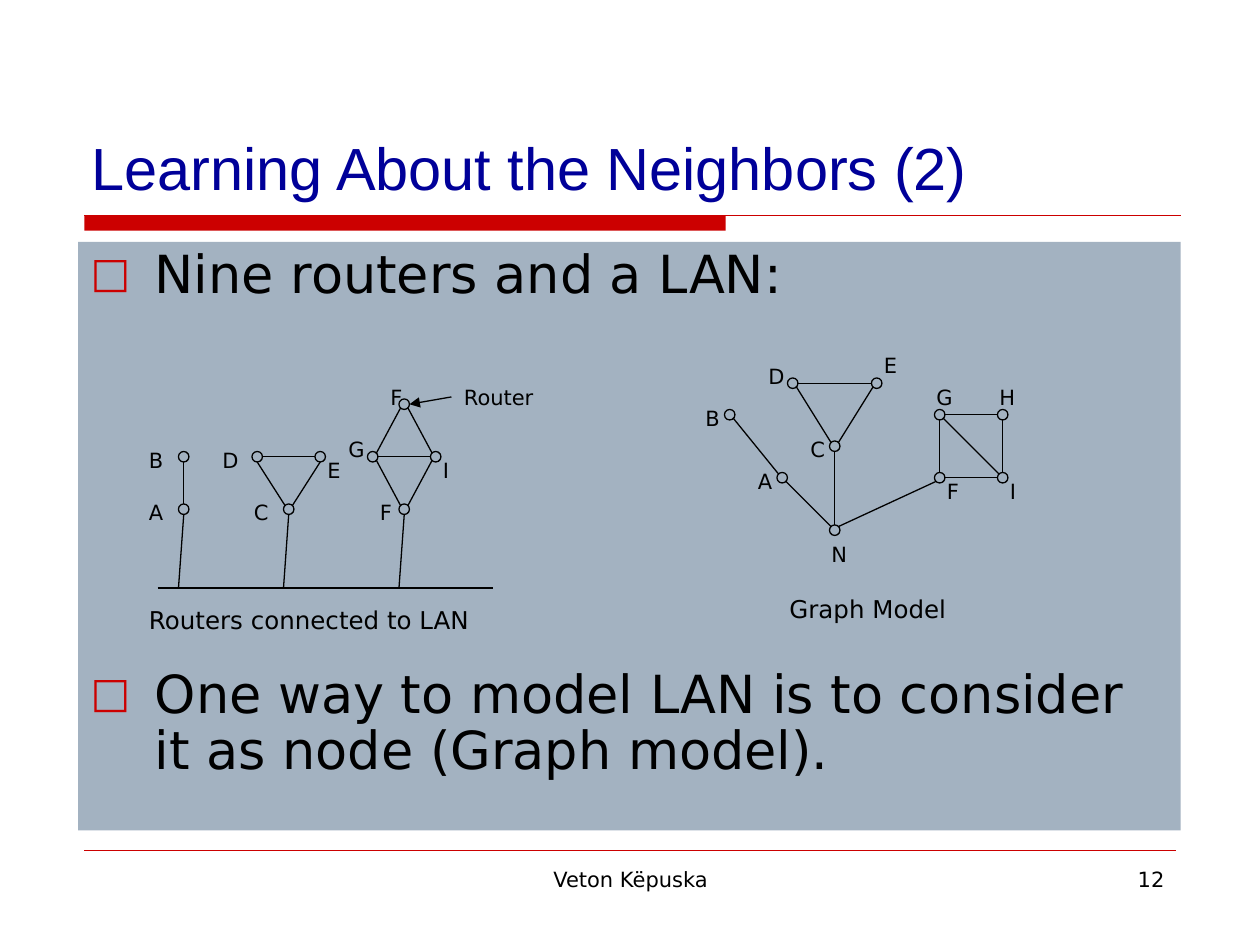
from lxml import etree
from pptx import Presentation
from pptx import util as u
from pptx.dml.color import RGBColor
from pptx.enum import shapes, text
from pptx.oxml.ns import qn

BLACK = RGBColor(0x00, 0x00, 0x00)
RED = RGBColor(0xCC, 0x00, 0x00)
NAVY = RGBColor(0x00, 0x00, 0x99)
PANEL = RGBColor(0xA3, 0xB2, 0xC1)
UNIT = 1 / 12  # the diagrams sit on a grid of twelfths of an inch

# Top-left grid position of each router, then of its label
LAN_ROUTERS = {
    "A": ((17, 48), (13, 47)), "B": ((17, 43), (13, 42)),
    "D": ((24, 43), (20, 42)), "C": ((27, 48), (23, 47)),
    "E": ((30, 43), (30, 43)), "G": ((35, 43), (32, 41)),
    "F": ((38, 48), (35, 47)), "I": ((41, 43), (41, 43)),
    "F top": ((38, 38), (36, 36)),
}
GRAPH_NODES = {
    "A": ((74, 45), (71, 44)), "B": ((69, 39), (66, 38)),
    "N": ((79, 50), (78, 51)), "C": ((79, 42), (76, 41)),
    "D": ((75, 36), (72, 34)), "E": ((83, 36), (83, 33)),
    "F": ((89, 45), (89, 45)), "G": ((89, 39), (88, 36)),
    "I": ((95, 45), (95, 45)), "H": ((95, 39), (94, 36)),
}
# Each link joins a compass point of one node to one of another
LAN_LINKS = [
    ("B", "s", "A", "n"), ("D", "s", "C", "nw"), ("E", "s", "C", "ne"),
    ("D", "e", "E", "w"), ("G", "se", "F", "nw"), ("I", "sw", "F", "ne"),
    ("F top", "se", "I", "nw"), ("F top", "sw", "G", "ne"), ("G", "e", "I", "w"),
]
GRAPH_LINKS = [
    ("N", "nw", "A", "se"), ("A", "nw", "B", "se"), ("N", "n", "C", "s"),
    ("C", "nw", "D", "se"), ("C", "ne", "E", "sw"), ("N", "ne", "F", "sw"),
    ("F", "n", "G", "s"), ("G", "e", "H", "w"), ("D", "e", "E", "w"),
    ("F", "e", "I", "w"), ("I", "n", "H", "s"), ("G", "se", "I", "nw"),
]


def rim(corner, side):
    """Point in inches on the rim of a one-unit circle."""
    dx = ("e" in side) - ("w" in side)
    dy = ("s" in side) - ("n" in side)
    radius = 0.35 if dx and dy else 0.5
    return tuple((c + 0.5 + radius * d) * UNIT for c, d in zip(corner, (dx, dy)))


class SlideBuilder:
    font = "DejaVu Sans"
    ink = BLACK

    def __init__(self, slide):
        self.slide = slide

    def style(self, paragraph, size, font=None, color=None):
        paragraph.font.size = u.Pt(size)
        paragraph.font.name = font or self.font
        paragraph.font.color.rgb = color or self.ink

    def shape(self, kind, box, fill, line=None):
        item = self.slide.shapes.add_shape(kind, *map(u.Inches, box))
        item.shadow.inherit = False
        item.fill.solid()
        item.fill.fore_color.rgb = fill
        if line is None:
            item.line.fill.background()
        else:
            item.line.color.rgb = line
            item.line.width = u.Pt(0.75)
        return item

    def label(self, words, box, size=12, align=text.PP_ALIGN.LEFT,
              anchor=text.MSO_ANCHOR.TOP, font=None, color=None):
        frame = self.slide.shapes.add_textbox(*map(u.Inches, box)).text_frame
        frame.word_wrap = True
        frame.vertical_anchor = anchor
        paragraph = frame.paragraphs[0]
        paragraph.text = words
        paragraph.alignment = align
        self.style(paragraph, size, font, color)

    def line(self, start, end, color=BLACK, width=0.75, arrow=False):
        item = self.slide.shapes.add_connector(
            shapes.MSO_CONNECTOR.STRAIGHT, *map(u.Inches, (*start, *end)))
        item.line.color.rgb = color
        item.line.width = u.Pt(width)
        if arrow:
            etree.SubElement(item.line._get_or_add_ln(), qn("a:tailEnd"), type="triangle")
        etree.SubElement(item._element.spPr, qn("a:effectLst"))

    def bullets(self, panel, entries):
        frame = panel.text_frame
        frame.word_wrap = True
        frame.vertical_anchor = text.MSO_ANCHOR.TOP
        for index, (words, gap) in enumerate(entries):
            paragraph = frame.add_paragraph() if index else frame.paragraphs[0]
            paragraph.text = words
            paragraph.alignment = text.PP_ALIGN.LEFT
            paragraph.line_spacing = 0.9
            if gap:
                paragraph.space_before = u.Pt(gap)
            props = paragraph._p.get_or_add_pPr()
            props.set("marL", str(u.Inches(0.51)))
            props.set("indent", str(-u.Inches(0.51)))
            tint = etree.SubElement(props, qn("a:buClr"))
            etree.SubElement(tint, qn("a:srgbClr"), val=str(RED))
            etree.SubElement(props, qn("a:buSzPct"), val="80000")
            etree.SubElement(props, qn("a:buFont"), typeface=self.font)
            etree.SubElement(props, qn("a:buChar"), char="□")
            self.style(paragraph, 30)

    def network(self, nodes, links):
        for name, (corner, label_corner) in nodes.items():
            x, y = (c * UNIT for c in corner)
            self.shape(shapes.MSO_SHAPE.OVAL, (x, y, UNIT, UNIT), PANEL, BLACK)
            x, y = (c * UNIT for c in label_corner)
            self.label(name[0], (x, y, 4 * UNIT, 0.3))
        for first, side, second, other_side in links:
            self.line(rim(nodes[first][0], side), rim(nodes[second][0], other_side))


def main():
    deck = Presentation()
    deck.slide_width, deck.slide_height = u.Inches(10), u.Inches(7.5)
    page = SlideBuilder(deck.slides.add_slide(deck.slide_layouts[6]))

    # Title and its rule
    page.shape(shapes.MSO_SHAPE.RECTANGLE, (0.67, 1.71, 5.09, 0.12), RED)
    page.line((0.67, 1.71), (9.37, 1.71), RED)
    page.label("Learning About the Neighbors (2)", (0.63, 0.33, 8.75, 1.33), 34,
               anchor=text.MSO_ANCHOR.BOTTOM, font="Arial", color=NAVY)

    # Footer
    page.line((0.67, 6.75), (9.33, 6.75), RED, 0.25)
    page.label("Veton Këpuska", (3.42, 6.83, 3.17, 0.52), align=text.PP_ALIGN.CENTER)
    page.label("12", (7.17, 6.83, 2.17, 0.52), align=text.PP_ALIGN.RIGHT)

    # Body panel, with room for the diagrams between the two points
    panel = page.shape(shapes.MSO_SHAPE.RECTANGLE, (0.62, 1.92, 8.75, 4.67), PANEL)
    page.bullets(panel, [
        ("Nine routers and a LAN:", 0),
        ("One way to model LAN is to consider it as node (Graph model).", 207.5),
    ])

    # Routers on the LAN
    page.network(LAN_ROUTERS, LAN_LINKS)
    lan_y = 56 * UNIT
    page.line((15 * UNIT, lan_y), (47 * UNIT, lan_y))
    for name in "ACF":
        corner = LAN_ROUTERS[name][0]
        page.line(rim(corner, "s"), (corner[0] * UNIT, lan_y))
    page.label("Router", (43 * UNIT, 36 * UNIT, 11 * UNIT, 0.3))
    page.line((43 * UNIT, 3.15), rim(LAN_ROUTERS["F top"][0], "e"), arrow=True)
    page.label("Routers connected to LAN", (13 * UNIT, 57 * UNIT, 33 * UNIT, 0.34), 14)

    # Graph model
    page.network(GRAPH_NODES, GRAPH_LINKS)
    page.label("Graph Model", (74 * UNIT, 56 * UNIT, 19 * UNIT, 0.34), 14)

    deck.save("out.pptx")


if __name__ == "__main__":
    main()
